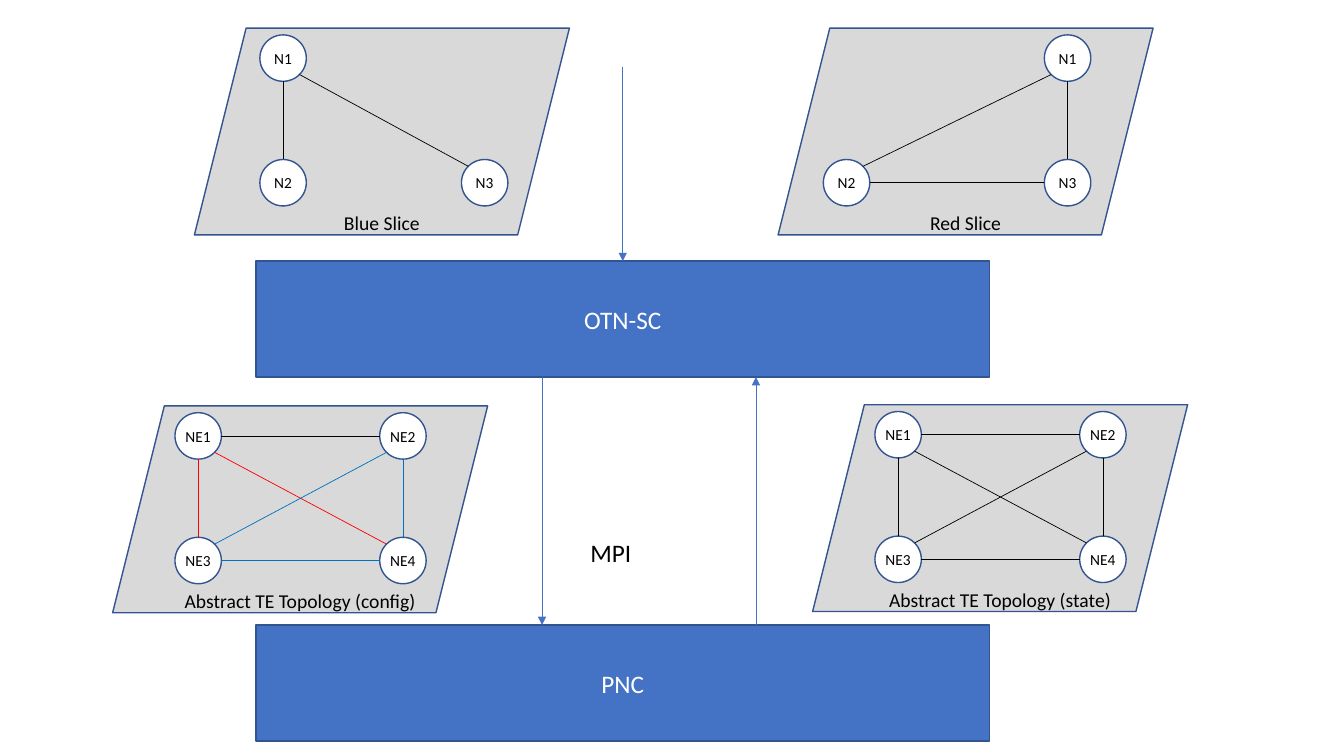
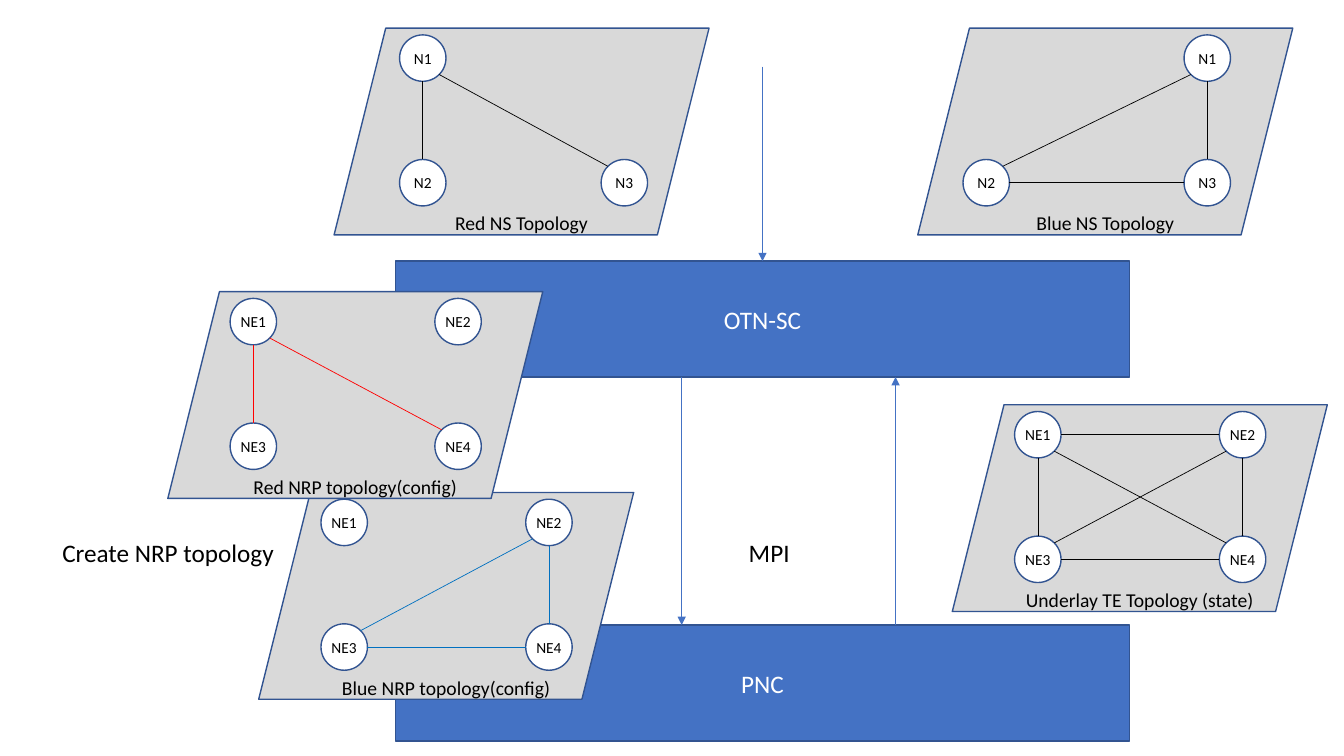
"""Draw the two network slicing diagrams."""
from dataclasses import dataclass
from math import sqrt

from lxml import etree
from pptx import Presentation
from pptx.dml.color import RGBColor
from pptx.enum.shapes import MSO_CONNECTOR, MSO_SHAPE
from pptx.enum.text import MSO_ANCHOR, MSO_AUTO_SIZE
from pptx.oxml.ns import qn
from pptx.util import Cm, Pt

RECT = MSO_SHAPE.RECTANGLE
SLANT = MSO_SHAPE.PARALLELOGRAM
OVAL = MSO_SHAPE.OVAL
STRAIGHT = MSO_CONNECTOR.STRAIGHT
BASE = MSO_ANCHOR.BOTTOM
GROW = MSO_AUTO_SIZE.SHAPE_TO_FIT_TEXT


@dataclass(frozen=True)
class Theme:
    """Colours, type sizes and line widths that the slides share."""
    font: str = "Calibri"
    band: str = "4472C4"
    edge: str = "325491"
    panel: str = "D9D9D9"
    white: str = "FFFFFF"
    black: str = "000000"
    red: str = "FF0000"
    blue: str = "0070C0"
    large: float = 18
    label: float = 14
    small: float = 11
    rim: float = 1
    thin: float = 0.5


LOOK = Theme()
BAND_W, BAND_H = 18.49, 2.92
UPPER, LOWER = 6.58, 15.75
PANEL_W, PANEL_H = 9.45, 5.21
NODE = 1.17
TOP, LOW = 0.17, 3.31
MESH = {"NE1": (1.57, TOP), "NE2": (6.73, TOP),
        "NE3": (1.57, LOW), "NE4": (6.73, LOW)}
LEFT_TREE = {"N1": (1.65, TOP), "N2": (1.65, LOW), "N3": (6.73, LOW)}
RIGHT_TREE = {"N1": (6.71, TOP), "N2": (1.14, LOW), "N3": (6.71, LOW)}
RED_LINKS = [("NE1", "NE3"), ("NE1", "NE4")]
BLUE_LINKS = [("NE2", "NE3"), ("NE2", "NE4"), ("NE3", "NE4")]
TOP_LINK = [("NE1", "NE2")]


def write(frame, text, size, color):
    """Put one styled paragraph in a text frame."""
    para = frame.paragraphs[0]
    para.text = text
    para.font.name = LOOK.font
    para.font.size = Pt(size)
    para.font.color.rgb = RGBColor.from_string(color)


def block(shapes, kind, box, fill, text, size, color):
    """Add a filled shape with a rim and text, and return its text frame."""
    shape = shapes.add_shape(kind, *map(Cm, box))
    shape.shadow.inherit = False
    shape.fill.solid()
    shape.fill.fore_color.rgb = RGBColor.from_string(fill)
    shape.line.color.rgb = RGBColor.from_string(LOOK.edge)
    shape.line.width = Pt(LOOK.rim)
    write(shape.text_frame, text, size, color)
    return shape.text_frame


def inset(frame, top=0):
    """Clear the insets of a text frame except the top one."""
    frame.margin_left = frame.margin_right = frame.margin_bottom = 0
    frame.margin_top = Cm(top)


def line(shapes, start, end, color, arrow=False):
    """Add a thin straight line, with an arrowhead on request."""
    wire = shapes.add_connector(STRAIGHT, *map(Cm, (*start, *end)))
    wire.line.color.rgb = RGBColor.from_string(color)
    wire.line.width = Pt(LOOK.thin)
    if arrow:
        etree.SubElement(wire.line._get_or_add_ln(), qn("a:tailEnd"),
                         type="triangle")
    etree.SubElement(wire._element.spPr, qn("a:effectLst"))


def link(shapes, start, end, color):
    """Join two nodes at the rim points that face each other."""
    steps = [(b > a) - (b < a) for a, b in zip(start, end)]
    reach = NODE / 2 * (sqrt(0.5) if all(steps) else 1)
    first = [a + NODE / 2 + reach * s for a, s in zip(start, steps)]
    last = [b + NODE / 2 - reach * s for b, s in zip(end, steps)]
    line(shapes, first, last, color)


def panel(slide, left, top, title, nodes, links):
    """Draw one grouped topology with its corner at left, top."""
    shapes = slide.shapes.add_group_shape().shapes
    frame = block(shapes, SLANT, (left, top, PANEL_W, PANEL_H), LOOK.panel,
                  title, LOOK.label, LOOK.black)
    inset(frame, PANEL_H)
    frame.word_wrap = False
    frame.vertical_anchor = BASE
    spots = {name: (left + x, top + y) for name, (x, y) in nodes.items()}
    for name, spot in spots.items():
        inset(block(shapes, OVAL, (*spot, NODE, NODE), LOOK.white,
                    name, LOOK.small, LOOK.black))
    for color, pairs in links.items():
        for a, b in pairs:
            link(shapes, spots[a], spots[b], color)


def core(slide, left):
    """Draw both controller bands and the arrows between them."""
    for top, name in ((LOWER, "PNC"), (UPPER, "OTN-SC")):
        block(slide.shapes, RECT, (left, top, BAND_W, BAND_H), LOOK.band,
              name, LOOK.large, LOOK.white)
    base = UPPER + BAND_H
    for x, start, end in ((BAND_W / 2, 1.68, UPPER), (7.21, base, LOWER),
                          (12.6, LOWER, base)):
        line(slide.shapes, (left + x, start), (left + x, end),
             LOOK.band, True)


def note(slide, left, width, text):
    """Add a free label beside the arrows."""
    box = slide.shapes.add_textbox(Cm(left), Cm(13.41), Cm(width), Cm(1.02))
    frame = box.text_frame
    frame.word_wrap = True
    frame.auto_size = GROW
    write(frame, text, LOOK.large, LOOK.black)


def stack(deck, left, first, second, state):
    """Add a slide with the core and the three panels common to both."""
    slide = deck.slides.add_slide(deck.slide_layouts[6])
    core(slide, left)
    panel(slide, left + 13.16, 0.71, second, RIGHT_TREE,
          {LOOK.black: [("N1", "N2"), ("N2", "N3"), ("N1", "N3")]})
    panel(slide, left + 14.03, 10.2, state, MESH,
          {LOOK.black: TOP_LINK + RED_LINKS + BLUE_LINKS})
    panel(slide, left - 1.55, 0.71, first, LEFT_TREE,
          {LOOK.black: [("N1", "N2"), ("N1", "N3")]})
    return slide


def slices(deck):
    """Build the slide where one topology carries both slices."""
    slide = stack(deck, 6.45, "Blue Slice", "Red Slice",
                  "Abstract TE Topology (state)")
    panel(slide, 2.84, 10.23, "Abstract TE Topology (config)", MESH,
          {LOOK.red: RED_LINKS, LOOK.blue: BLUE_LINKS, LOOK.black: TOP_LINK})
    note(slide, 14.63, 5.82, "MPI")


def parts(deck):
    """Build the slide with one NRP topology for each slice."""
    slide = stack(deck, 9.97, "Red NS Topology", "Blue NS Topology",
                  "Underlay TE Topology (state)")
    panel(slide, 6.52, 12.41, "Blue NRP topology(config)", MESH,
          {LOOK.blue: BLUE_LINKS})
    panel(slide, 4.23, 7.35, "Red NRP topology(config)", MESH,
          {LOOK.red: RED_LINKS})
    note(slide, 18.62, 5.82, "MPI")
    note(slide, 1.32, 6.78, "Create NRP topology")


def main():
    """Build and save the deck."""
    deck = Presentation()
    deck.slide_width, deck.slide_height = Cm(33.87), Cm(19.05)
    slices(deck)
    parts(deck)
    deck.save("out.pptx")


main()
